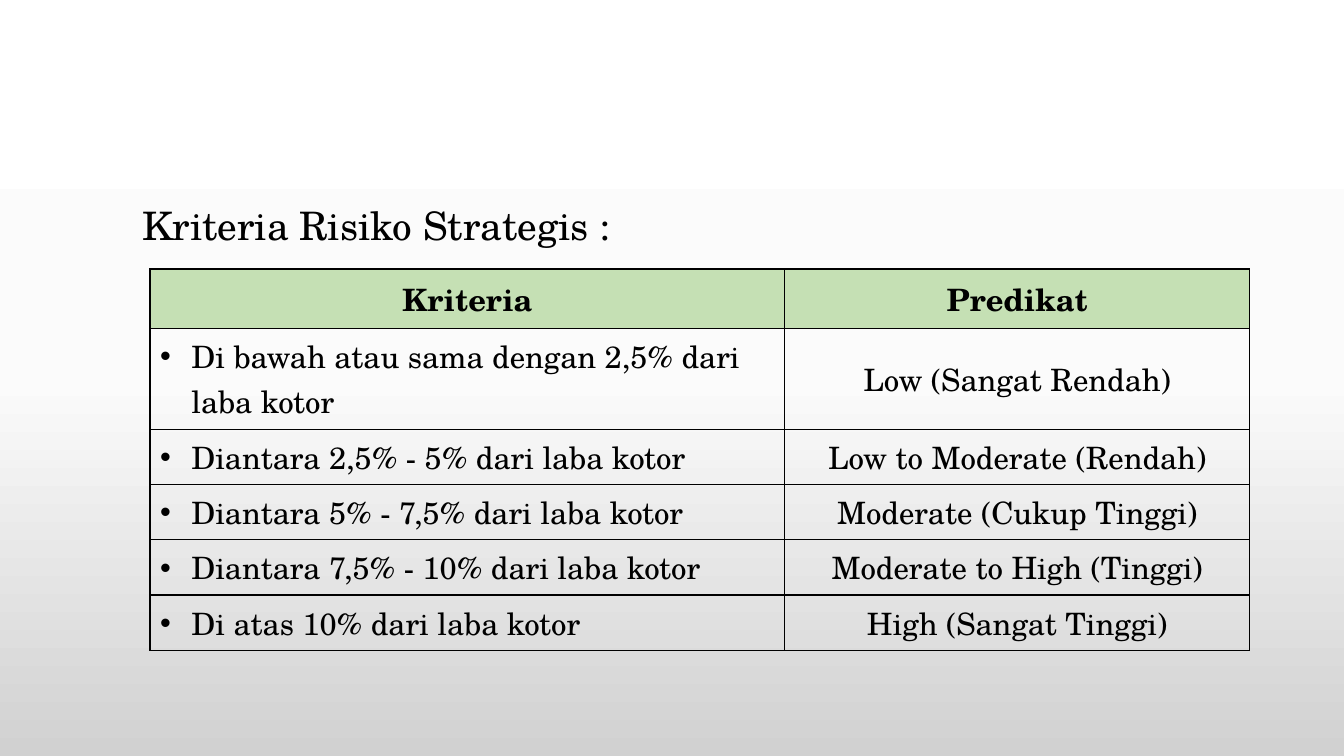
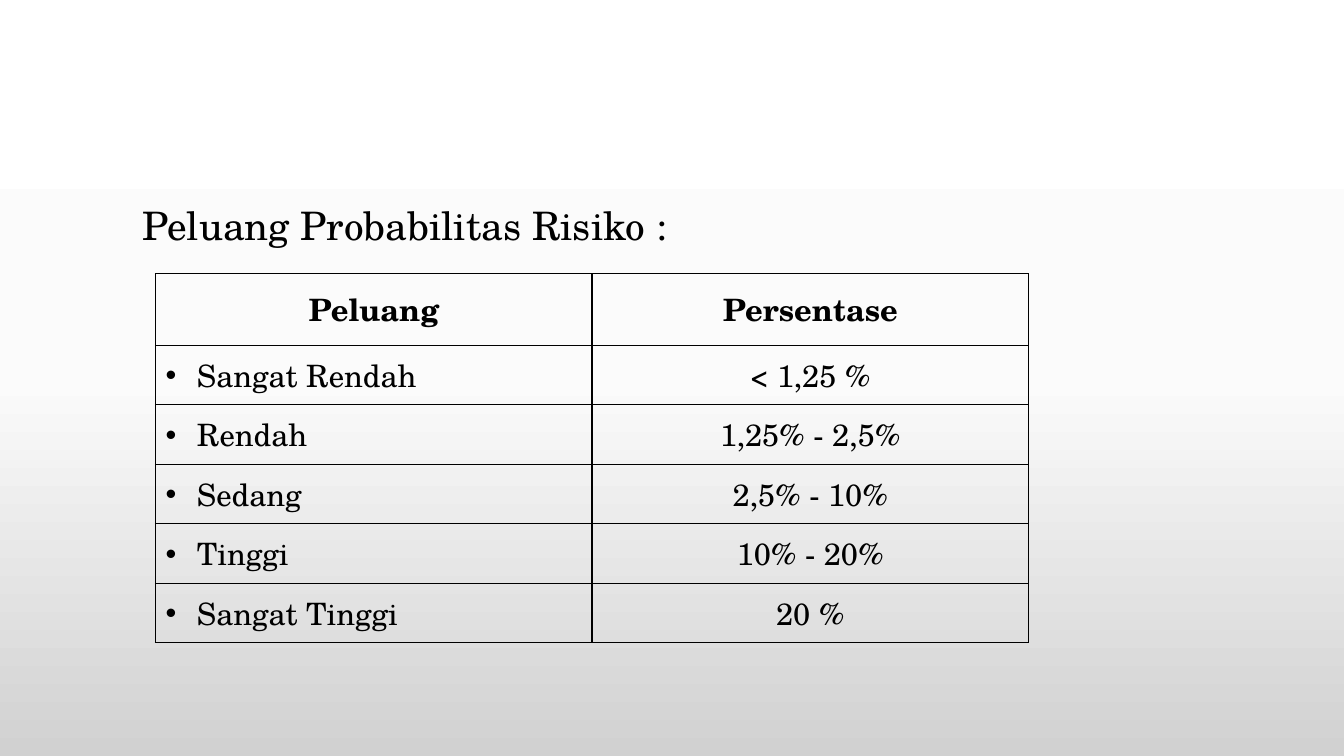
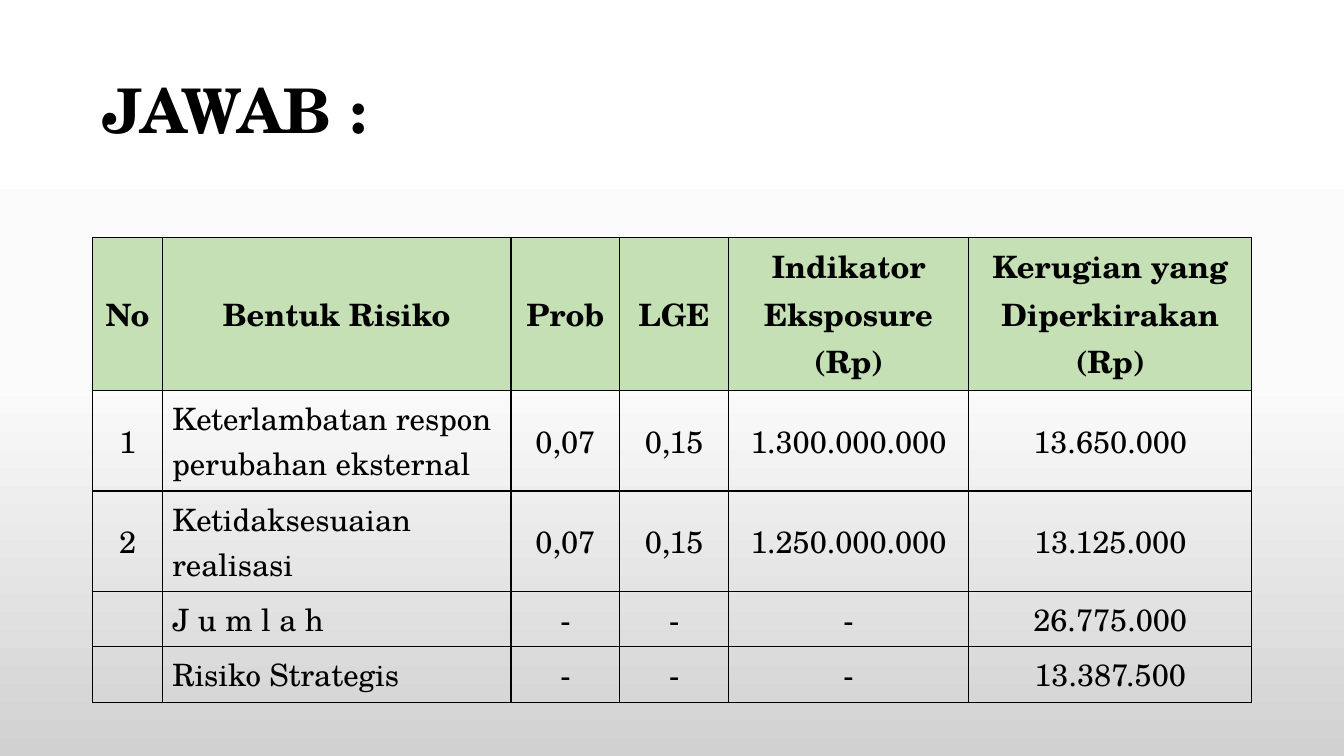
from copy import deepcopy

from lxml import etree
from pptx import Presentation
from pptx.dml.color import RGBColor
from pptx.enum import text
from pptx.oxml import ns
from pptx.util import Cm, Pt

BLACK = RGBColor(0x00, 0x00, 0x00)
WHITE = RGBColor(0xFF, 0xFF, 0xFF)
PALE = RGBColor(0xFB, 0xFB, 0xFB)
GRAY = RGBColor(0xD1, 0xD1, 0xD1)
GREEN = RGBColor(0xC5, 0xE0, 0xB4)
FONT = "TeX Gyre Schola"
LEFT = 2.34


class Deck:
    """Holds the shared style and the current slide."""

    def __init__(self):
        self.prs = Presentation()
        self.prs.slide_width, self.prs.slide_height = Cm(33.87), Cm(19.05)
        self.slide = None
        self.shade()

    def shade(self):
        """Gives the master its vertical gradient."""
        master = self.prs.slide_master
        fill = master.background.fill
        fill.gradient()
        fill.gradient_angle = 270
        first = master.element.find(".//" + ns.qn("a:gs"))
        first.addnext(deepcopy(first))
        stops = zip(fill.gradient_stops, (0, 0.5, 1), (WHITE, PALE, GRAY))
        for stop, place, color in stops:
            stop.position = place
            stop.color.rgb = color

    def style(self, para, size, bold=False):
        """Formats the runs of a paragraph."""
        for run in para.runs:
            font = run.font
            font.name, font.size, font.bold = FONT, Pt(size), bold
            font.color.rgb = BLACK

    def title(self, words, left, top, width, height, size, bold, anchor):
        """Starts a slide and sets its title."""
        self.slide = self.prs.slides.add_slide(self.prs.slide_layouts[5])
        box = self.slide.shapes.title
        box.left, box.top = Cm(left), Cm(top)
        box.width, box.height = Cm(width), Cm(height)
        frame = box.text_frame
        frame.text = words
        frame.word_wrap = True
        frame.auto_size = text.MSO_AUTO_SIZE.NONE
        frame.vertical_anchor = anchor
        para = frame.paragraphs[0]
        para.alignment = text.PP_ALIGN.LEFT
        para.line_spacing = 0.9
        self.style(para, size, bold)

    def lead(self, words):
        """Starts a slide with a light heading above its table."""
        self.title(words, 3.33, 5.08, 28.22, 1.6, 28, False,
                   text.MSO_ANCHOR.TOP)

    def border(self, cell):
        """Draws a thin black line on each side of a cell."""
        props = cell._tc.get_or_add_tcPr()
        for side in ("lnL", "lnR", "lnT", "lnB"):
            line = etree.SubElement(props, ns.qn("a:" + side), w=str(Pt(1)))
            solid = etree.SubElement(line, ns.qn("a:solidFill"))
            etree.SubElement(solid, ns.qn("a:srgbClr"), val=str(BLACK))

    def bullet(self, para):
        """Gives a paragraph a hanging bullet."""
        props = para._p.get_or_add_pPr()
        props.set("marL", str(Cm(0.79)))
        props.set("indent", str(Cm(-0.79)))
        etree.SubElement(props, ns.qn("a:buFont"), typeface="Arial")
        etree.SubElement(props, ns.qn("a:buChar"), char="•")

    def table(self, left, top, cols, rows, data, head=GREEN, item=0,
              dots=True):
        """Adds a grid whose item column is set to the left."""
        grid = self.slide.shapes.add_table(
            len(rows), len(cols), Cm(left), Cm(top),
            Cm(sum(cols)), Cm(sum(rows))).table
        grid.horz_banding = False
        for col, width in zip(grid.columns, cols):
            col.width = Cm(width)
        for row, height in zip(grid.rows, rows):
            row.height = Cm(height)
        for r, line in enumerate(data):
            for c, words in enumerate(line):
                cell = grid.cell(r, c)
                cell.text = words
                cell.vertical_anchor = text.MSO_ANCHOR.MIDDLE
                self.border(cell)
                if r == 0 and head:
                    cell.fill.solid()
                    cell.fill.fore_color.rgb = head
                else:
                    cell.fill.background()
                para = cell.text_frame.paragraphs[0]
                if r == 0 or c != item:
                    para.alignment = text.PP_ALIGN.CENTER
                elif dots:
                    self.bullet(para)
                self.style(para, 22, r == 0)


def main():
    deck = Deck()

    deck.lead("Kriteria Risiko Strategis :")
    deck.table(3.78, 6.78, [16, 11.71], [1.5, 2.5] + [1.39] * 4, [
        ("Kriteria", "Predikat"),
        ("Di bawah atau sama dengan 2,5% dari laba kotor",
         "Low (Sangat Rendah)"),
        ("Diantara 2,5% - 5% dari laba kotor", "Low to Moderate (Rendah)"),
        ("Diantara 5% - 7,5% dari laba kotor", "Moderate (Cukup Tinggi)"),
        ("Diantara 7,5% - 10% dari laba kotor", "Moderate to High (Tinggi)"),
        ("Di atas 10% dari laba kotor", "High (Sangat Tinggi)"),
    ])

    deck.lead("Peluang Probabilitas Risiko :")
    deck.table(3.92, 6.9, [11, 11], [1.8] + [1.5] * 5, [
        ("Peluang", "Persentase"),
        ("Sangat Rendah", "< 1,25 %"),
        ("Rendah", "1,25% - 2,5%"),
        ("Sedang", "2,5% - 10%"),
        ("Tinggi", "10% - 20%"),
        ("Sangat Tinggi", "20 %"),
    ], head=None)

    deck.title("JAWAB :", LEFT, 1.01, 29.21, 3.68, 44, True,
               text.MSO_ANCHOR.MIDDLE)
    deck.table(LEFT, 5.99, [1.75, 8.79, 2.74, 2.74, 6.05, 7.14],
               [3.8, 2.5, 2.5, 1.39, 1.39], [
        ("No", "Bentuk Risiko", "Prob", "LGE", "Indikator Eksposure (Rp)",
         "Kerugian yang Diperkirakan (Rp)"),
        ("1", "Keterlambatan respon perubahan eksternal", "0,07", "0,15",
         "1.300.000.000", "13.650.000"),
        ("2", "Ketidaksesuaian realisasi", "0,07", "0,15",
         "1.250.000.000", "13.125.000"),
        ("", "J u m l a h", "-", "-", "-", "26.775.000"),
        ("", "Risiko Strategis", "-", "-", "-", "13.387.500"),
    ], item=1, dots=False)

    deck.prs.save("out.pptx")


if __name__ == "__main__":
    main()
